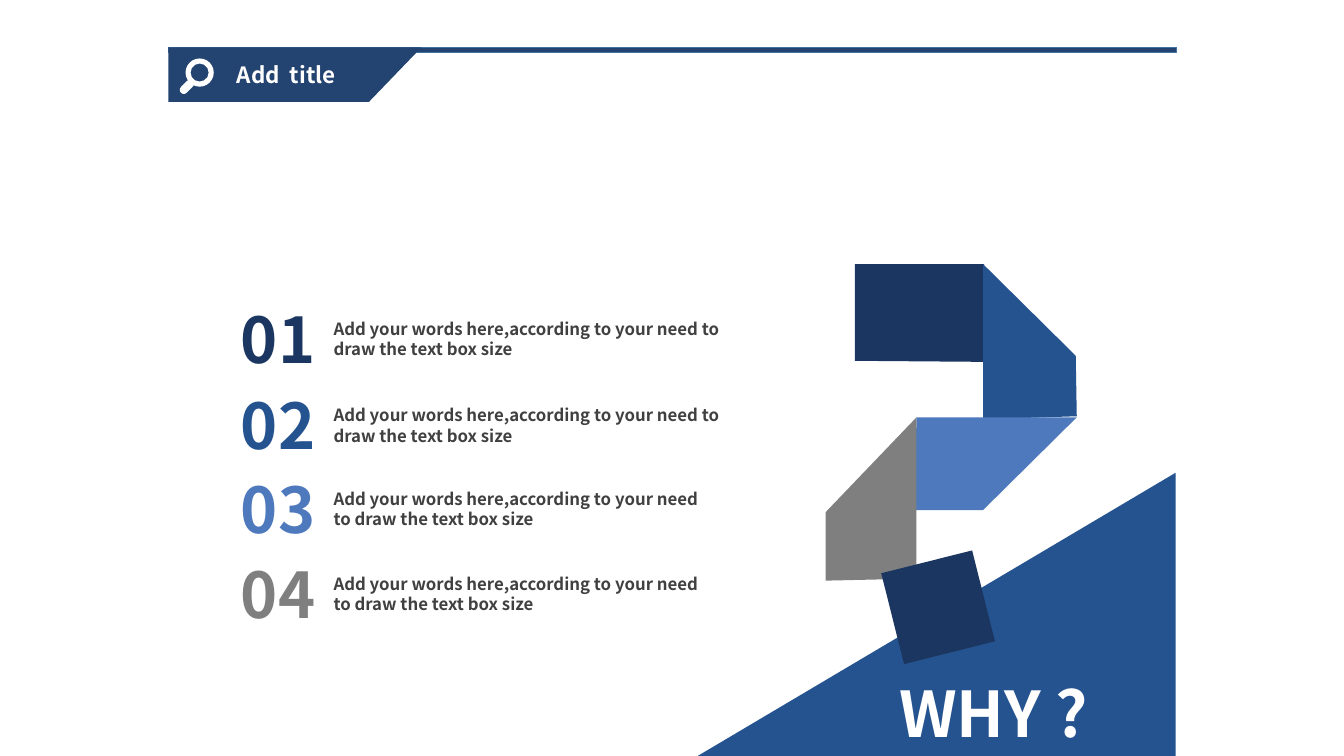
import pptx
import pptx.util
import pptx.dml.color
import pptx.enum.shapes
import pptx.enum.text

Inches = pptx.util.Inches
KIND = pptx.enum.shapes.MSO_SHAPE
FONT = "Noto Sans CJK SC"
COLORS = {
    "bar": "234370", "edge": "43739E", "white": "FFFFFF", "text": "404040",
    "navy": "1B3661", "blue": "25538F", "sky": "4F79BD", "gray": "7F7F7F",
}
WORDS = "Add your words here,according to your need to draw the text box size"
# Number, color, top, width of the words
ROWS = [
    ("01", "navy", 2.93, 4.05), ("02", "blue", 3.79, 4.05),
    ("03", "sky", 4.62, 4), ("04", "gray", 5.46, 4),
]
# Folds of the question mark, relative to its box
FOLDS = [
    ("navy", [(0.29, 0), (1.57, 0), (1.56, 0.97), (0.29, 0.96)]),
    ("blue", [(1.56, 0), (2.48, 0.91), (2.49, 1.51), (1.56, 1.54)]),
    ("sky", [(2.49, 1.52), (1.56, 2.44), (0.88, 2.44), (0.9, 1.52)]),
    ("gray", [(0.9, 1.52), (0, 2.46), (0, 3.14), (0.9, 3.12)]),
]


def tint(name):
    return pptx.dml.color.RGBColor.from_string(COLORS[name])


def paint(shape, color):
    shape.shadow.inherit = False
    shape.fill.solid()
    shape.fill.fore_color.rgb = tint(color)
    shape.line.fill.background()
    return shape


def block(slide, kind, box, color):
    shape = slide.shapes.add_shape(kind, *map(Inches, box))
    return paint(shape, color)


def outline(slide, x, y, points, color):
    spots = [(Inches(x + dx), Inches(y + dy)) for dx, dy in points]
    form = slide.shapes.build_freeform(*spots[0])
    form.add_line_segments(spots[1:], close=True)
    return paint(form.convert_to_shape(), color)


def label(slide, box, text, size, color):
    frame = slide.shapes.add_textbox(*map(Inches, box)).text_frame
    frame.word_wrap = True
    frame.text = text
    para = frame.paragraphs[0]
    for run in para.runs:
        font = run.font
        font.name, font.size, font.bold = FONT, pptx.util.Pt(size), True
        font.color.rgb = tint(color)
    return para


def header(slide, x, y, width):
    bar = block(slide, KIND.RECTANGLE, (x, y, width, 0.05), "bar")
    bar.line.color.rgb = tint("edge")
    bar.line.width = pptx.util.Pt(1)
    outline(slide, x, y, [(0, 0), (2.51, 0), (1.99, 0.54), (0, 0.54)], "bar")
    # Magnifier: handle, then ring
    grip = block(slide, KIND.ROUNDED_RECTANGLE,
                 (x + 0.1, y + 0.35, 0.17, 0.08), "white")
    grip.adjustments[0] = 0.5
    grip.rotation = -45
    ring = block(slide, KIND.DONUT, (x + 0.17, y + 0.11, 0.28, 0.28), "white")
    ring.adjustments[0] = 0.18
    para = label(slide, (x + 0.58, y + 0.09, 1.35, 0.37),
                 "Add  title", 16, "white")
    para.alignment = pptx.enum.text.PP_ALIGN.JUSTIFY


def corner(slide, x, y, width, height):
    slope = block(slide, KIND.RIGHT_TRIANGLE, (x, y, width, height), "blue")
    slope._element.spPr.xfrm.set("flipH", "1")


def mark(slide, x, y):
    for color, points in FOLDS:
        outline(slide, x, y, points, color)
    dot = block(slide, KIND.RECTANGLE, (x + 0.65, y + 2.94, 0.93, 0.93), "navy")
    dot.rotation = 345.9
    label(slide, (x + 0.63, y + 4.02, 3.06, 0.86), "WHY ?", 45, "white")


def points(slide, x):
    for number, color, top, width in ROWS:
        label(slide, (x, top, 1.05, 0.86), number, 45, color)
        label(slide, (x + 0.92, top + 0.18, width, 0.48), WORDS, 12, "text")


def main():
    deck = pptx.Presentation()
    deck.slide_width, deck.slide_height = Inches(13.33), Inches(7.5)
    slide = deck.slides.add_slide(deck.slide_layouts[6])
    header(slide, 1.67, 0.47, 10)
    corner(slide, 6.92, 4.69, 4.74, 2.81)
    mark(slide, 8.19, 2.62)
    points(slide, 2.29)
    deck.save("out.pptx")


if __name__ == "__main__":
    main()
